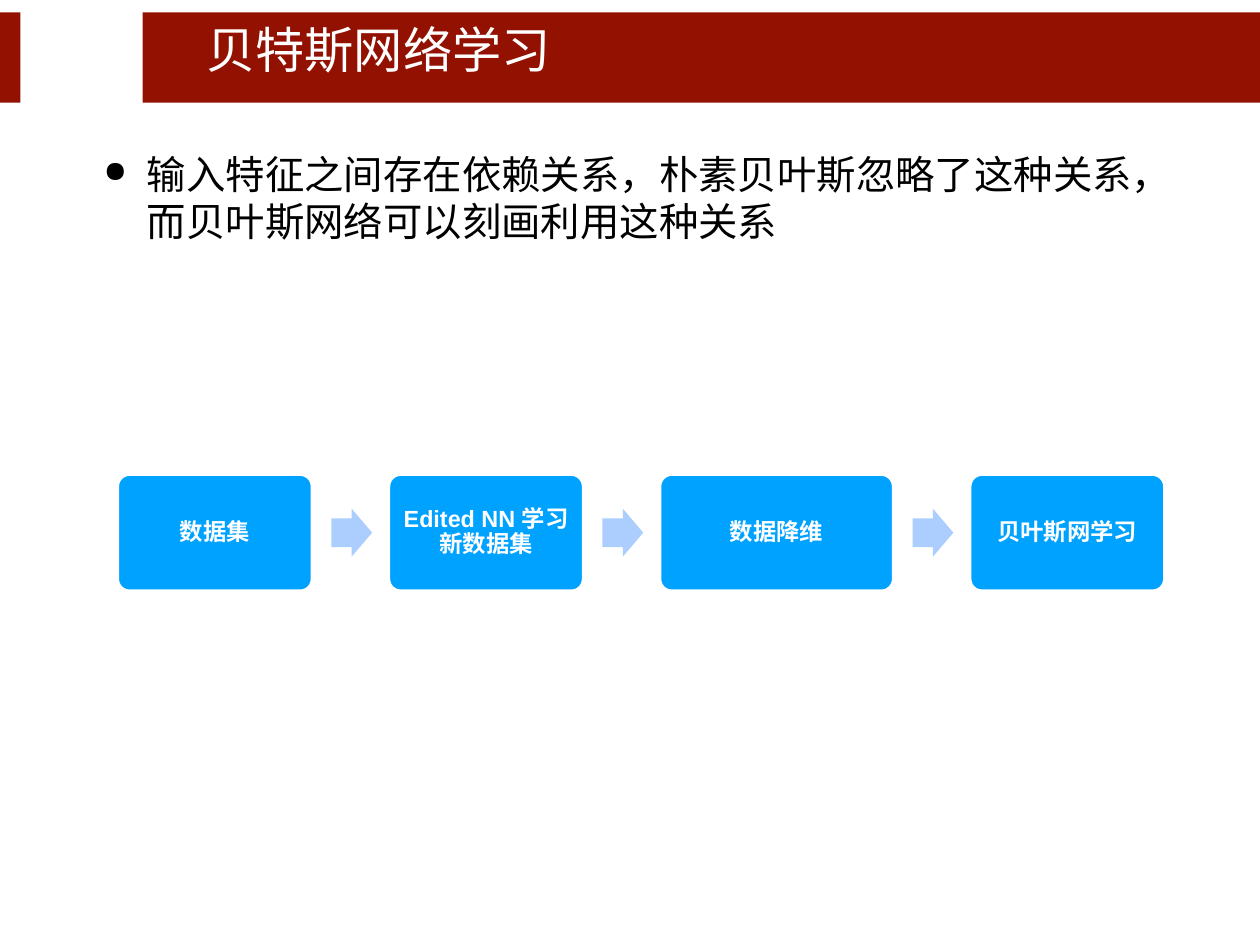
from lxml.etree import SubElement
from pptx import Presentation
from pptx.dml.color import RGBColor
from pptx.enum.shapes import MSO_SHAPE
from pptx.enum.text import MSO_ANCHOR, PP_ALIGN
from pptx.oxml.ns import qn
from pptx.util import Inches, Pt

CJK_FONT = "Noto Sans CJK SC"
DARK_RED, WHITE, BLACK = "921100", "FFFFFF", "000000"
STEP_BLUE, ARROW_BLUE = "00A2FF", "ABCEFF"

# Process steps: text and box width in inches
STEPS = [("数据集", 2.19), ("Edited NN 学习新数据集", 2.19),
         ("数据降维", 2.63), ("贝叶斯网学习", 2.19)]
STEP_LEFT, STEP_TOP, STEP_HEIGHT, STEP_GAP = 1.33, 5.36, 1.31, 0.87
ARROW_WIDTH, ARROW_HEIGHT, ARROW_OFFSET = 0.46, 0.54, 0.22


def paint(color_format, color):
    color_format.rgb = RGBColor.from_string(color)


def apply_format(target, values):
    for attribute, value in values.items():
        setattr(target, attribute, value)


def add_block(slide, preset, box, fill, line=None, line_width=0, adjustments=()):
    block = slide.shapes.add_shape(preset, *map(Inches, box))
    block.shadow.inherit = False
    block.fill.solid()
    paint(block.fill.fore_color, fill)
    if line:
        paint(block.line.color, line)
        block.line.width = Pt(line_width)
    else:
        block.line.fill.background()
    for index, adjustment in enumerate(adjustments):
        block.adjustments[index] = adjustment
    return block


def write_text(holder, text, size, font, color, frame_format, paragraph_format, bold=False):
    frame = holder.text_frame
    apply_format(frame, {"word_wrap": True, **frame_format})
    paragraph = frame.paragraphs[0]
    paragraph.text = text
    apply_format(paragraph, paragraph_format)
    for run in paragraph.runs:
        apply_format(run.font, {"size": Pt(size), "name": font, "bold": bold})
        paint(run.font.color, color)
        SubElement(run.font._element, qn("a:ea")).set("typeface", CJK_FONT)
    return paragraph


def insets(inches):
    sides = ("left", "top", "right", "bottom")
    return {f"margin_{side}": Inches(inches) for side in sides}


def add_header(slide):
    # Red band with a plain white panel at its left
    add_block(slide, MSO_SHAPE.RECTANGLE, (0, 0.14, 14.22, 1.02), DARK_RED)
    add_block(slide, MSO_SHAPE.RECTANGLE, (0.23, 0.07, 1.38, 1.24), WHITE)


def set_title(slide, text):
    title = slide.shapes.title
    # Bring the title in front of the header band
    slide.shapes._spTree.append(title._element)
    places = zip(("left", "top", "width", "height"), (2.23, 0.14, 10.35, 0.82))
    apply_format(title, {side: Inches(length) for side, length in places})
    write_text(title, text, 40, CJK_FONT, WHITE,
               {"vertical_anchor": MSO_ANCHOR.MIDDLE}, {"alignment": PP_ALIGN.LEFT})


def add_bullet_text(slide, text):
    body = slide.shapes.add_textbox(*map(Inches, (1.07, 1.65, 12.07, 8.61)))
    paragraph = write_text(body, text, 32, CJK_FONT, BLACK, {},
                           {"line_spacing": Pt(38), "alignment": PP_ALIGN.LEFT})
    properties = paragraph._p.get_or_add_pPr()
    properties.set("marL", str(Inches(0.49)))
    properties.set("indent", str(-Inches(0.49)))
    SubElement(properties, qn("a:buSzPct")).set("val", "75000")
    SubElement(properties, qn("a:buChar")).set("char", "●")


def add_process(slide):
    left = STEP_LEFT
    for number, (text, width) in enumerate(STEPS, start=1):
        step = add_block(slide, MSO_SHAPE.ROUNDED_RECTANGLE,
                         (left, STEP_TOP, width, STEP_HEIGHT),
                         STEP_BLUE, WHITE, 2, [0.1])
        write_text(step, text, 19, "Arial", WHITE,
                   {"vertical_anchor": MSO_ANCHOR.MIDDLE, **insets(0.08)},
                   {"alignment": PP_ALIGN.CENTER, "line_spacing": 0.9}, bold=True)
        left += width
        # Arrow to the next step
        if number < len(STEPS):
            arrow_top = STEP_TOP + (STEP_HEIGHT - ARROW_HEIGHT) / 2
            add_block(slide, MSO_SHAPE.RIGHT_ARROW,
                      (left + ARROW_OFFSET, arrow_top, ARROW_WIDTH, ARROW_HEIGHT),
                      ARROW_BLUE, adjustments=[0.6, 0.5])
        left += STEP_GAP


def main():
    presentation = Presentation()
    apply_format(presentation, {"slide_width": Inches(14.22), "slide_height": Inches(10.67)})
    slide = presentation.slides.add_slide(presentation.slide_layouts[5])
    add_header(slide)
    set_title(slide, "贝特斯网络学习")
    add_bullet_text(slide, "输入特征之间存在依赖关系，朴素贝叶斯忽略了这种关系，而贝叶斯网络可以刻画利用这种关系")
    add_process(slide)
    presentation.save("out.pptx")


if __name__ == "__main__":
    main()
